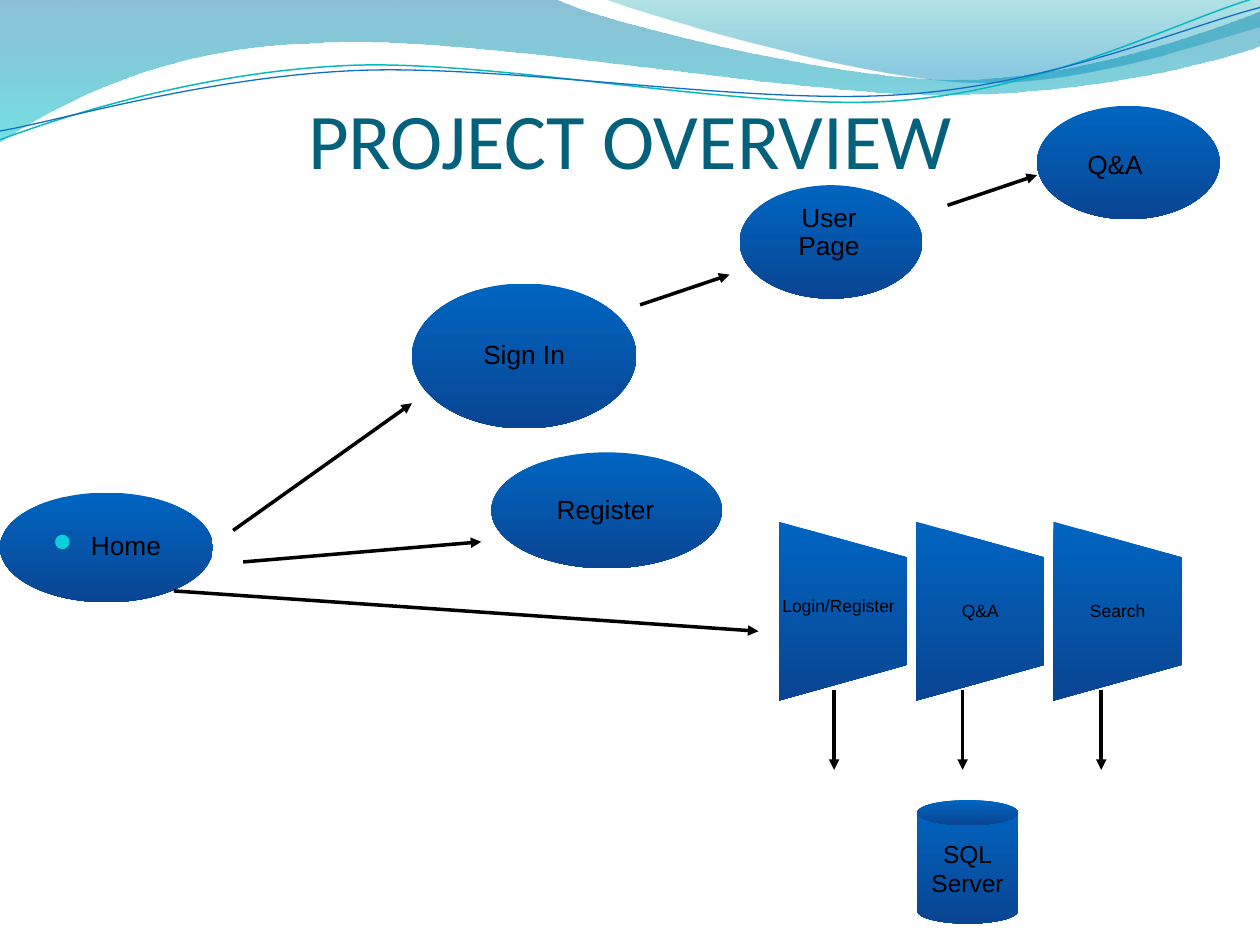
from lxml.etree import SubElement
from pptx import Presentation
from pptx.dml.color import RGBColor
from pptx.enum.shapes import MSO_CONNECTOR, MSO_SHAPE
from pptx.enum.text import MSO_ANCHOR, MSO_AUTO_SIZE, PP_ALIGN
from pptx.oxml.ns import qn
from pptx.util import Inches, Pt

COLORS = {
    "title": "04617B", "text": "000000", "arrow": "000000", "bullet": "0BD0D9",
    "node_top": "0065C1", "node_bottom": "094593",
    "band_top": "0074A1", "band_bottom": "00C6CF",
    "swoosh_top": "00A1A9", "swoosh_bottom": "008BBF",
    "teal_line": "0AB8BF", "blue_line": "0F6FC6",
}
NODE_STOPS = [(0, "node_top", 100), (1, "node_bottom", 100)]


def rgb(key):
    return RGBColor.from_string(COLORS[key])


def fill_gradient(shape, stops):
    shape.shadow.inherit = False
    shape.line.fill.background()
    shape.fill.gradient()
    shape.fill.gradient_angle = 270
    for stop, (position, color, _) in zip(shape.fill.gradient_stops, stops):
        stop.position = position
        stop.color.rgb = rgb(color)
    tints = shape._element.spPr.iter(qn("a:srgbClr"))
    for tint, (_, _, opacity) in zip(list(tints), stops):
        if opacity < 100:
            SubElement(tint, qn("a:alpha"), val=str(opacity * 1000))


def format_text(frame, text, size=15, font="Arial", color="text", insets=(0.01,) * 4,
                anchor=MSO_ANCHOR.MIDDLE, line_spacing=None, space_before=0):
    frame.word_wrap = True
    frame.auto_size = MSO_AUTO_SIZE.NONE
    frame.vertical_anchor = anchor
    (frame.margin_left, frame.margin_top,
     frame.margin_right, frame.margin_bottom) = map(Inches, insets)
    frame.text = text
    for paragraph in frame.paragraphs:
        paragraph.alignment = PP_ALIGN.CENTER
        paragraph.space_before = Pt(space_before)
        if line_spacing:
            paragraph.line_spacing = line_spacing
        for run in paragraph.runs:
            run.font.size = Pt(size)
            run.font.name = font
            run.font.color.rgb = rgb(color)


def add_label(slide, box, text, **style):
    label = slide.shapes.add_textbox(*map(Inches, box))
    format_text(label.text_frame, text, **style)
    return label


def add_bullet(paragraph):
    properties = paragraph._p.get_or_add_pPr()
    properties.set("marL", str(Inches(0.3)))
    properties.set("indent", str(-Inches(0.3)))
    tint = SubElement(properties, qn("a:buClr"))
    SubElement(tint, qn("a:srgbClr"), val=COLORS["bullet"])
    SubElement(properties, qn("a:buSzPct"), val="95000")
    SubElement(properties, qn("a:buFont"), typeface="Wingdings", charset="2")
    SubElement(properties, qn("a:buChar"), char="l")


def add_arrow(slide, start, end):
    arrow = slide.shapes.add_connector(
        MSO_CONNECTOR.STRAIGHT, *map(Inches, start + end))
    arrow.line.color.rgb = rgb("arrow")
    arrow.line.width = Pt(2)
    SubElement(arrow.line._get_or_add_ln(), qn("a:tailEnd"), type="triangle")
    SubElement(arrow._element.spPr, qn("a:effectLst"))


def add_outline(slide, box, start, segments, close=True):
    left, top = box[:2]
    points = [(Inches(left + x), Inches(top + y))
              for x, y in [start, *(point for segment in segments for point in segment)]]
    builder = slide.shapes.build_freeform(*points[0])
    builder.add_line_segments(points[1:], close=close)
    outline = builder.convert_to_shape()
    steps = iter(list(outline._element.spPr.iter(qn("a:lnTo"))))
    for segment in segments:
        group = [next(steps) for _ in segment]
        if len(group) == 3:
            curve = group[0].makeelement(qn("a:cubicBezTo"))
            group[0].addprevious(curve)
            for step in group:
                curve.append(step[0])
                step.getparent().remove(step)
    return outline


def draw_waves(slide, box):
    right = box[2]
    band = add_outline(slide, box, (0, 0), [
        [(4.4, -0.01)],
        [(4.76, 0.17), (6.64, 0.63), (7.58, 0.63)],
        [(8.53, 0.63), (9.58, 0.26), (right, 0.09)],
        [(right + 0.01, 0.36)],
        [(9.83, 0.44), (8.7, 0.76), (7.46, 0.75)],
        [(6.22, 0.75), (3.82, 0.28), (2.57, 0.34)],
        [(1.29, 0.36), (0.46, 0.83), (-0.01, 1.13)]])
    fill_gradient(band, [(0, "band_top", 45), (1, "band_bottom", 55)])
    swoosh = add_outline(slide, box, (4.79, -0.01), [
        [(5.09, 0.11), (6.82, 0.62), (7.69, 0.65)],
        [(8.56, 0.69), (9.61, 0.32), (right, 0.21)],
        [(right, 0)]])
    fill_gradient(swoosh, [(0, "swoosh_top", 30), (0.8, "swoosh_bottom", 45)])

    teal = add_outline(slide, box, (0, 1.11), [
        [(0.48, 0.93), (1.58, 0.57), (2.77, 0.52)],
        [(3.95, 0.47), (5.93, 0.89), (7.13, 0.8)],
        [(8.33, 0.71), (9.38, 0.15), (9.98, -0.02)]], close=False)
    blue = add_outline(slide, box, (0, 1.04), [
        [(0.47, 0.96), (1.64, 0.61), (2.83, 0.56)],
        [(4.03, 0.51), (5.97, 0.84), (7.17, 0.75)],
        [(8.36, 0.67), (9.41, 0.21), (right, 0.06)]], close=False)
    for ripple, color, weight in ((teal, "teal_line", 0.85), (blue, "blue_line", 0.75)):
        ripple.shadow.inherit = False
        ripple.fill.background()
        ripple.line.color.rgb = rgb(color)
        ripple.line.width = Pt(weight)


def draw_title(slide, box):
    title = slide.shapes.title
    title.left, title.top, title.width, title.height = map(Inches, box)
    format_text(title.text_frame, "PROJECT OVERVIEW", size=45, font="Calibri",
                color="title", insets=(0, 0.05, 0, 0), anchor=MSO_ANCHOR.BOTTOM)


def draw_page(slide, box, label_box, text, bulleted=False):
    page = slide.shapes.add_shape(MSO_SHAPE.OVAL, *map(Inches, box))
    fill_gradient(page, NODE_STOPS)
    label = add_label(slide, label_box, text, line_spacing=0.9, space_before=6)
    if bulleted:
        add_bullet(label.text_frame.paragraphs[0])


def draw_services(slide, box):
    left, top, width, height = box
    panel_width = 1.02
    pitch = (width - panel_width) / 2
    labels = (("Login/Register", 0, 0.63, 0.95), ("Q&A", 0.07, 0.67, 0.88),
              ("Search", 0.07, 0.67, 0.88))
    for index, (text, dx, dy, label_width) in enumerate(labels):
        x = left + index * pitch
        panel = add_outline(slide, (x, top), (0, height), [
            [(0, 0)], [(panel_width, 0.2 * height)], [(panel_width, 0.8 * height)]])
        fill_gradient(panel, NODE_STOPS)
        add_label(slide, (x + dx, top + dy, label_width, 0.09), text, size=10,
                  insets=(0,) * 4, line_spacing=0.9, space_before=4)


def draw_database(slide, box):
    left, top, width, height = box
    middle, rim = width / 2, 0.1
    bend = 0.45
    drum = add_outline(slide, box, (0, rim), [
        [(0, bend * rim), (bend * middle, 0), (middle, 0)],
        [(width - bend * middle, 0), (width, bend * rim), (width, rim)],
        [(width, height - rim)],
        [(width, height - bend * rim), (width - bend * middle, height), (middle, height)],
        [(bend * middle, height), (0, height - bend * rim), (0, height - rim)]])
    lid = slide.shapes.add_shape(
        MSO_SHAPE.OVAL, *map(Inches, (left, top, width, 2 * rim)))
    for part in (drum, lid):
        fill_gradient(part, NODE_STOPS)
    add_label(slide, (left + 0.05, top + 0.27, width - 0.1, 0.54), "SQL\nServer",
              size=14, insets=(0.05,) * 4)


def main():
    presentation = Presentation()
    presentation.slide_width, presentation.slide_height = Inches(10), Inches(7.5)
    slide = presentation.slides.add_slide(presentation.slide_layouts[5])
    draw_waves(slide, (0, 0, 10, 1.13))
    draw_title(slide, (0.5, 0.77, 9, 0.7))
    draw_page(slide, (0, 3.91, 1.69, 0.87), (0.25, 4.21, 1.2, 0.27), "Home", bulleted=True)
    draw_page(slide, (3.27, 2.25, 1.78, 1.15), (3.53, 2.7, 1.26, 0.25), "Sign In")
    draw_page(slide, (5.87, 1.47, 1.45, 0.9), (6.1, 1.7, 0.96, 0.3), "User Page")
    draw_page(slide, (3.9, 3.59, 1.83, 0.92), (4.16, 3.93, 1.29, 0.25), "Register")
    draw_page(slide, (8.23, 0.84, 1.45, 0.9), (8.37, 1.17, 0.96, 0.3), "Q&A")
    draw_services(slide, (6.18, 4.14, 3.2, 1.42))
    draw_database(slide, (7.28, 6.35, 0.8, 0.98))
    page_links = (((1.85, 4.21), (3.27, 3.2)), ((5.08, 2.42), (5.79, 2.18)),
                  ((1.93, 4.46), (3.82, 4.3)), ((7.52, 1.63), (8.23, 1.39)),
                  ((1.38, 4.69), (6.02, 5.01)))
    database_links = [((x, 5.48), (x, 6.11)) for x in (6.62, 7.64, 8.74)]
    for start, end in (*page_links, *database_links):
        add_arrow(slide, start, end)
    presentation.save("out.pptx")


if __name__ == "__main__":
    main()
